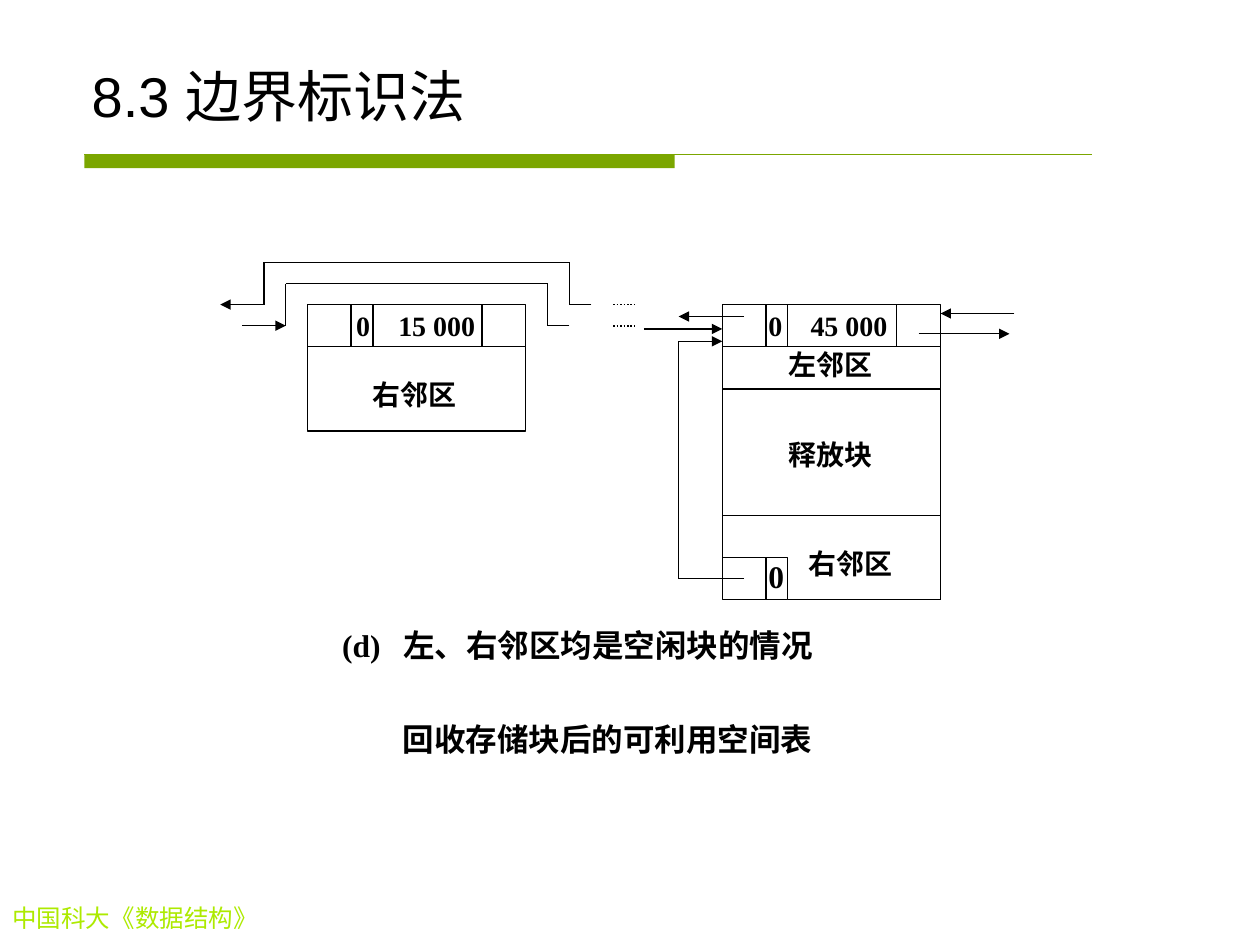
from dataclasses import dataclass
from itertools import accumulate, pairwise

from lxml.etree import SubElement
from pptx import Presentation
from pptx.dml.color import RGBColor as Rgb
from pptx.enum.dml import MSO_LINE as Dash
from pptx.enum.shapes import MSO_CONNECTOR as Link, MSO_SHAPE as Shape
from pptx.enum.text import MSO_ANCHOR as Anchor
from pptx.oxml.ns import qn
from pptx.util import Cm, Pt


@dataclass(frozen=True)
class Theme:
    ink: str = "000000"
    paper: str = "FFFFFF"
    bar: str = "7BA600"
    foot: str = "ADEA00"
    sans: str = "Arial"
    serif: str = "Times New Roman"
    head: int = 32
    body: int = 18
    label: int = 16
    small: int = 14
    thin: float = 0.75


class Board:
    def __init__(self, slide, theme):
        self.slide, self.theme = slide, theme

    def rect(self, x, y, w, h, fill=None, line=True):
        box = self.slide.shapes.add_shape(
            Shape.RECTANGLE, Cm(x), Cm(y), Cm(w), Cm(h))
        box.shadow.inherit = False
        box.fill.solid()
        box.fill.fore_color.rgb = Rgb.from_string(fill or self.theme.paper)
        if line:
            box.line.color.rgb = Rgb.from_string(self.theme.ink)
            box.line.width = Pt(self.theme.thin)
        else:
            box.line.fill.background()

    def line(self, start, end, arrow=False, dots=False, color=None):
        wire = self.slide.shapes.add_connector(
            Link.STRAIGHT, *map(Cm, (*start, *end)))
        wire.line.color.rgb = Rgb.from_string(color or self.theme.ink)
        wire.line.width = Pt(1 if dots else self.theme.thin)
        if dots:
            wire.line.dash_style = Dash.ROUND_DOT
        props = wire.element.spPr
        if arrow:
            SubElement(props.find(qn("a:ln")), qn("a:tailEnd"), type="triangle")
        SubElement(props, qn("a:effectLst"))

    def chain(self, *points):
        """Join the points in turn, with an arrowhead at the last."""
        for start, end in pairwise(points):
            self.line(start, end, arrow=end == points[-1])

    def text(self, x, y, w, h, words, size, color=None, font=None,
             bold=True, tab=None, anchor=Anchor.TOP):
        box = self.slide.shapes.add_textbox(Cm(x), Cm(y), Cm(w), Cm(h))
        frame = box.text_frame
        frame.word_wrap = True
        frame.margin_right = 0
        frame.vertical_anchor = anchor
        para = frame.paragraphs[0]
        if tab:
            stops = SubElement(para._p.get_or_add_pPr(), qn("a:tabLst"))
            SubElement(stops, qn("a:tab"), pos=str(Cm(tab)), algn="l")
        run = para.add_run()
        run.text = words
        run.font.size, run.font.bold = Pt(size), bold
        run.font.name = font or self.theme.serif
        run.font.color.rgb = Rgb.from_string(color or self.theme.ink)


def main():
    deck = Presentation()
    deck.slide_width, deck.slide_height = Cm(25.4), Cm(19.05)
    theme = Theme()
    board = Board(deck.slides.add_slide(deck.slide_layouts[6]), theme)

    # Title, rule and footer
    board.rect(1.7, 3.12, 11.9, 0.27, theme.bar, line=False)
    board.line((1.7, 3.12), (22.02, 3.12), color=theme.bar)
    board.text(0, 18.08, 7.9, 0.86, "中国科大《数据结构》", theme.small,
               theme.foot, bold=False)
    board.text(1.6, 0.84, 22.22, 1.88, "8.3 边界标识法", theme.head,
               font=theme.sans, bold=False, anchor=Anchor.BOTTOM)

    # Captions
    board.text(6.65, 12.5, 10.16, 1.02, "(d)\t左、右邻区均是空闲块的情况",
               theme.body, tab=1.23)
    board.text(7.87, 14.4, 8.76, 1.02, "回收存储块后的可利用空间表", theme.body)

    # Grid: block left edges, top edge, column unit and row height
    left, right, top, col, row = 6.2, 14.56, 6.14, 0.44, 0.85
    wide = 10 * col

    def spot(edge, i, j):
        return edge + i * col, top + j * row

    def cells(edge, j, spans):
        for i, span in zip(accumulate(spans, initial=0), spans):
            board.rect(*spot(edge, i, j), span * col, row)

    # Memory blocks
    for edge in (left, right):
        cells(edge, 0, (2, 1, 5, 2))
    cells(right, 6, (2, 1))
    for edge, j, rows in ((left, 1, 2), (right, 1, 1), (right, 2, 3)):
        board.rect(*spot(edge, 0, j), wide, rows * row)
    for start, end in (((0, 5), (0, 6)), ((3, 7), (10, 7)), ((10, 7), (10, 5))):
        board.line(spot(right, *start), spot(right, *end))

    # Links around the left block, with dots where the list goes on
    for far, near, tip, base in ((12, -1, -3, 0.5), (13, -2, -4, 0)):
        path = ((far, base), (far - 1, base), (far - 1, base - 1),
                (near, base - 1), (near, base), (tip, base))
        if base:
            path = path[:-1]
            board.line(spot(left, tip, base), spot(left, near, base), arrow=True)
            for start, end in pairwise(path):
                board.line(spot(left, *start), spot(left, *end))
        else:
            board.chain(*(spot(left, *point) for point in path))
        board.line(spot(left, 14, base), spot(left, 15, base), dots=True)

    # Links of the right block
    for x1, x2, y in ((20.45, 18.96, 6.32), (18.52, 20.35, 6.73),
                      (15, 13.68, 6.38), (12.98, 14.56, 6.63)):
        board.line((x1, y), (x2, y), arrow=True)
    board.chain(spot(right, 1, 6.5), spot(right, -2, 6.5),
                (right - 2 * col, 6.88), (right, 6.88))

    # Labels
    for x, words in ((6.93, "0\t15 000"), (15.24, "0\t45 000")):
        board.text(x, 6.1, 2.9, 0.94, words, theme.label, tab=0.85)
    board.text(15.24, 11.1, 0.81, 1.02, "0", theme.body)
    for x, y, words in ((7.26, 7.49, "右邻区"), (15.65, 6.88, "左邻区"),
                        (15.65, 8.69, "释放块"), (16.05, 10.9, "右邻区")):
        board.text(x, y, 2.18, 0.94, words, theme.label)

    deck.save("out.pptx")


if __name__ == "__main__":
    main()
